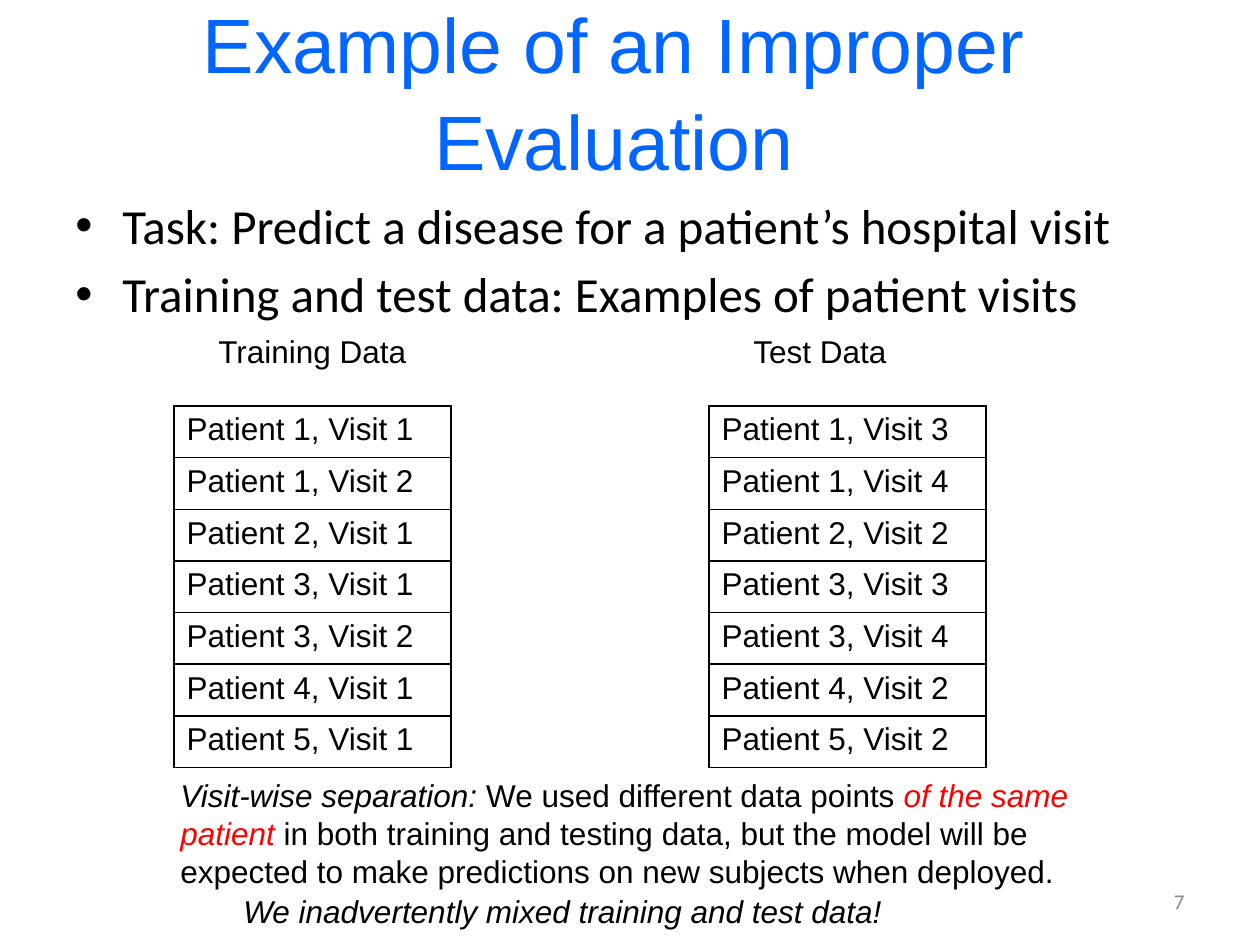
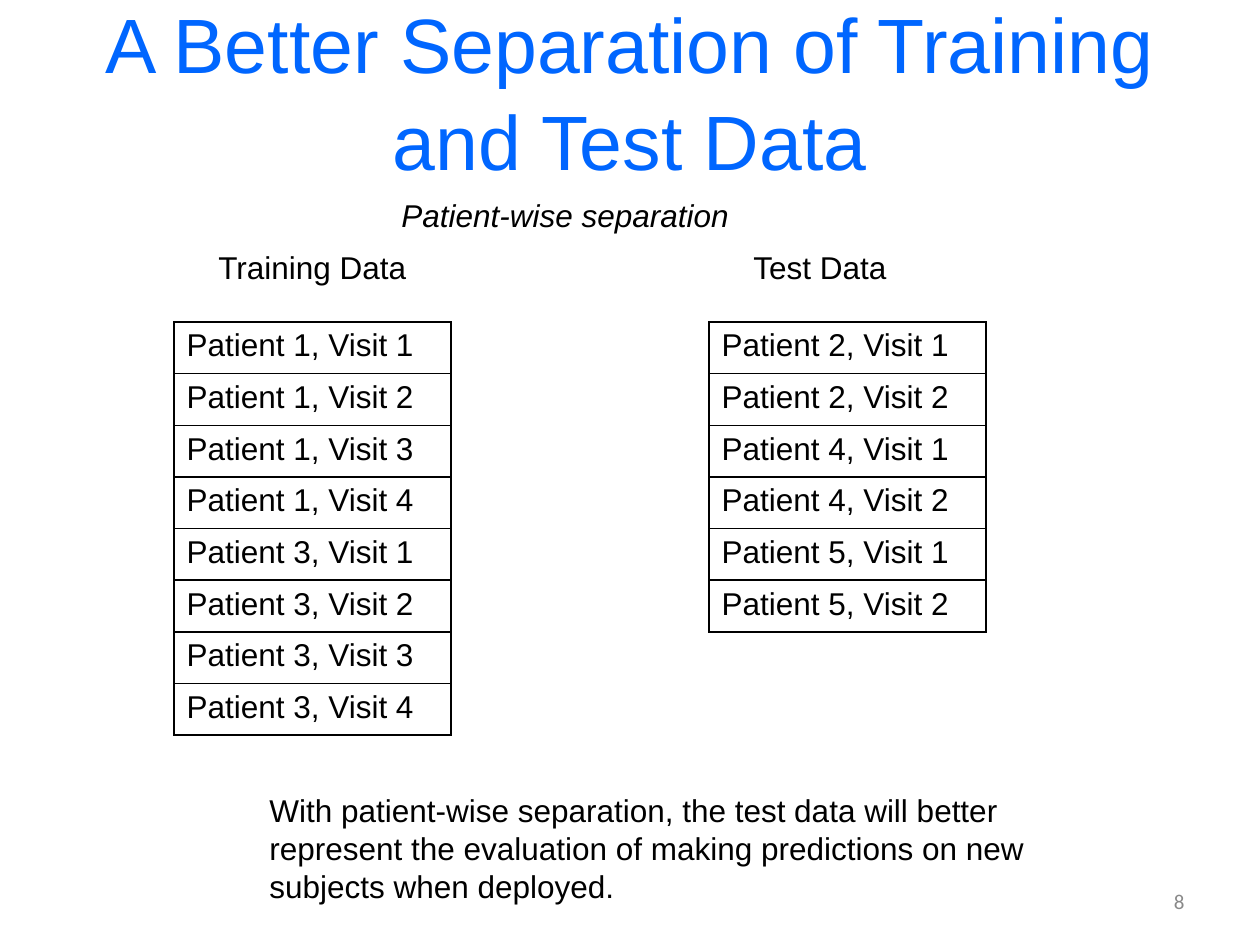
"""Build two slides that compare visit-wise and patient-wise data separation."""
from lxml.etree import SubElement
from pptx import Presentation
from pptx.dml.color import RGBColor
from pptx.enum.text import MSO_ANCHOR, MSO_AUTO_SIZE, PP_ALIGN
from pptx.oxml.ns import qn
from pptx.util import Emu, Pt

TITLE_BLUE = RGBColor(0x00, 0x66, 0xFF)
BLACK = RGBColor(0x00, 0x00, 0x00)
RED = RGBColor(0xFF, 0x00, 0x00)
NUMBER_GREY = RGBColor(0x89, 0x89, 0x89)

PX_PER_INCH = 126
TABLE_WIDTH = 277
LABEL_RISE = 80
LABEL_INDENT = 32
TRAINING_LEFT, TEST_LEFT = 174, 709

TITLE = {"name": "Arial", "size": Pt(44), "color": TITLE_BLUE}
BODY = {"name": "Calibri", "size": Pt(28), "color": BLACK}
PLAIN = {"name": "Arial", "size": Pt(18), "color": BLACK}
ITALIC = {**PLAIN, "italic": True}
WARNING = {**ITALIC, "color": RED}
NUMBER = {"name": "Calibri", "size": Pt(12), "color": NUMBER_GREY}


def px(length):
    """Turn pixels into EMU."""
    return Emu(length * 914400 // PX_PER_INCH)


def add_run(paragraph, text, style):
    """Append a run and apply its font values."""
    run = paragraph.add_run()
    run.text = text
    for key, value in style.items():
        if key == "color":
            run.font.color.rgb = value
        else:
            setattr(run.font, key, value)


def add_text(slide, box, paragraphs, wrap=True, indent=0, **frame_format):
    """Add a text box whose paragraphs are lists of (text, style) runs."""
    frame = slide.shapes.add_textbox(*map(px, box)).text_frame
    for key, value in {"word_wrap": wrap, **frame_format}.items():
        setattr(frame, key, value)
    for index, runs in enumerate(paragraphs):
        paragraph = frame.add_paragraph() if index else frame.paragraphs[0]
        if indent:
            paragraph._p.get_or_add_pPr().set("marL", str(px(indent)))
        for text, style in runs:
            add_run(paragraph, text, style)
    return frame


def add_title(slide, left, width, text):
    """Add the centred slide title."""
    frame = add_text(slide, (left, 10, width, 158), [[(text, TITLE)]],
                     vertical_anchor=MSO_ANCHOR.MIDDLE)
    frame.paragraphs[0].alignment = PP_ALIGN.CENTER
    frame.paragraphs[0].line_spacing = 1.05


def add_slide_number(slide, number):
    """Add the slide number at the lower right."""
    frame = add_text(slide, (903, 876, 294, 50), [[(str(number), NUMBER)]],
                     vertical_anchor=MSO_ANCHOR.MIDDLE)
    frame.paragraphs[0].alignment = PP_ALIGN.RIGHT


def add_bullets(slide, box, items):
    """Add the bulleted body text."""
    frame = add_text(slide, box, [[(item, BODY)] for item in items])
    for index, paragraph in enumerate(frame.paragraphs):
        if index:
            paragraph.space_before = Pt(5.6)
        properties = paragraph._p.get_or_add_pPr()
        properties.set("marL", str(px(47)))
        properties.set("indent", str(-px(47)))
        SubElement(properties, qn("a:buFont"), typeface="Arial")
        SubElement(properties, qn("a:buChar"), char="•")


def add_line(slide, box, text, style):
    """Add a single unwrapped line of text."""
    add_text(slide, box, [[(text, style)]], wrap=False,
             auto_size=MSO_AUTO_SIZE.SHAPE_TO_FIT_TEXT)


def add_note(slide, box, paragraphs):
    """Add an indented closing note."""
    add_text(slide, box, paragraphs, indent=189,
             auto_size=MSO_AUTO_SIZE.SHAPE_TO_FIT_TEXT)


def set_borders(cell):
    """Draw a one-point black line on each side of a cell."""
    properties = cell._tc.get_or_add_tcPr()
    for position, side in enumerate(("lnL", "lnR", "lnT", "lnB")):
        line = SubElement(properties, qn(f"a:{side}"), w=str(Pt(1)))
        fill = SubElement(line, qn("a:solidFill"))
        SubElement(fill, qn("a:srgbClr"), val=str(BLACK))
        properties.insert(position, line)


def add_visits(slide, left, top, heading, label_width, visits):
    """Add a headed one-column table of (patient, visit) pairs."""
    row_height = px(155) // 3
    table = slide.shapes.add_table(
        len(visits), 1, px(left), px(top), px(TABLE_WIDTH),
        row_height * len(visits)).table
    table.first_row = table.horz_banding = False
    for row, (patient, visit) in zip(table.rows, visits):
        row.height = row_height
        cell = row.cells[0]
        cell.fill.background()
        set_borders(cell)
        add_run(cell.text_frame.paragraphs[0],
                f"Patient {patient}, Visit {visit}", PLAIN)
    add_line(slide, (left + LABEL_INDENT, top - LABEL_RISE, label_width, 50),
             heading, PLAIN)


def add_split(slide, top, training, test):
    """Add the training and test tables side by side."""
    add_visits(slide, TRAINING_LEFT, top, "Training Data", 215, training)
    add_visits(slide, TEST_LEFT, top, "Test Data", 160, test)


def add_improper_slide(slide):
    """Fill the slide on visit-wise separation."""
    add_title(slide, 31, 1166, "Example of an Improper Evaluation")
    add_bullets(slide, (63, 189, 1134, 714), [
        "Task: Predict a disease for a patient’s hospital visit",
        "Training and test data: Examples of patient visits"])
    add_split(slide, 406,
              [(1, 1), (1, 2), (2, 1), (3, 1), (3, 2), (4, 1), (5, 1)],
              [(1, 3), (1, 4), (2, 2), (3, 3), (3, 4), (4, 2), (5, 2)])
    add_note(slide, (-21, 770, 1197, 127), [[
        ("Visit-wise separation: ", ITALIC),
        ("We used different data points ", PLAIN),
        ("of the same patient ", WARNING),
        ("in both training and testing data, but the model will be expected "
         "to make predictions on new subjects when deployed.", PLAIN)]])
    add_line(slide, (231, 886, 670, 50),
             "We inadvertently mixed training and test data!", ITALIC)
    add_slide_number(slide, 7)


def add_better_slide(slide):
    """Fill the slide on patient-wise separation."""
    add_title(slide, 63, 1134, "A Better Separation of Training and Test Data")
    add_line(slide, (389, 190, 355, 50), "Patient-wise separation", ITALIC)
    add_split(slide, 322,
              [(patient, visit) for patient in (1, 3) for visit in range(1, 5)],
              [(patient, visit) for patient in (2, 4, 5) for visit in (1, 2)])
    add_note(slide, (68, 785, 999, 127), [
        [("With patient-wise separation, the test data will better", PLAIN)],
        [("represent the evaluation of making predictions on new subjects "
          "when deployed.", PLAIN)]])
    add_slide_number(slide, 8)


def main():
    """Build and save the presentation."""
    presentation = Presentation()
    presentation.slide_width, presentation.slide_height = px(1260), px(945)
    blank = presentation.slide_layouts[6]
    for fill_slide in (add_improper_slide, add_better_slide):
        fill_slide(presentation.slides.add_slide(blank))
    presentation.save("out.pptx")


if __name__ == "__main__":
    main()
